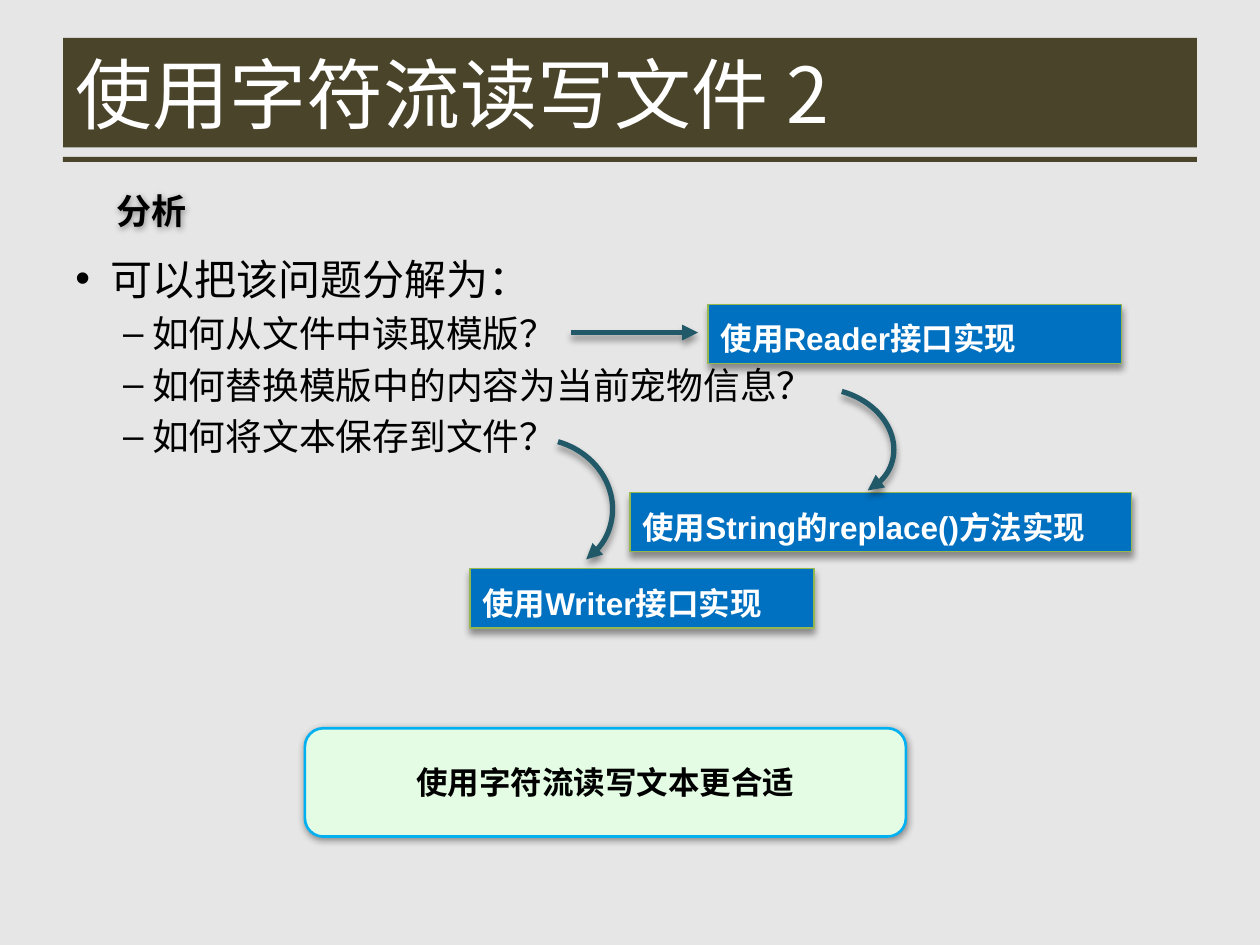
from typing import NamedTuple

from lxml.etree import SubElement
from pptx import Presentation
from pptx.dml.color import RGBColor
from pptx.enum.shapes import MSO_CONNECTOR, MSO_SHAPE
from pptx.enum.text import MSO_ANCHOR, PP_ALIGN
from pptx.oxml.ns import qn
from pptx.util import Emu, Inches, Pt

WIDTH, HEIGHT = Inches(10), Inches(7.5)
COL, ROW = WIDTH // 40, HEIGHT // 30

GREY = RGBColor(0xE7, 0xE6, 0xE6)
OLIVE = RGBColor(0x4A, 0x45, 0x2A)
BLUE = RGBColor(0x00, 0x70, 0xC0)
GREEN = RGBColor(0x95, 0xB7, 0x4F)
TEAL = RGBColor(0x21, 0x59, 0x68)
MINT = RGBColor(0xE4, 0xFC, 0xE4)
SKY = RGBColor(0x00, 0xB0, 0xF0)
WHITE = RGBColor(0xFF, 0xFF, 0xFF)
BLACK = RGBColor(0x00, 0x00, 0x00)
SANS = "Noto Sans CJK SC"


class Box(NamedTuple):
    """A place on the grid, in columns and rows."""
    x: float
    y: float
    w: float
    h: float

    def emu(self) -> list[Emu]:
        units = (COL, ROW, COL, ROW)
        return [Emu(round(n * unit)) for n, unit in zip(self, units)]


class Answer(NamedTuple):
    text: str
    box: Box


class Point(NamedTuple):
    text: str
    size: int
    mark: str
    left: float
    hang: float
    level: int
    before: float


TITLE = Box(2, 1.2, 36, 3.48)
RULE = Box(2, 4.98, 36, 0.16)
HEAD = Box(3.32, 5.8, 3.08, 1.76)
BODY = Box(2, 7.84, 36, 18.96)
NOTE = Box(9.68, 23.12, 19.08, 3.44)
ARROW = Box(18.12, 10.56, 4.04, 0)
ARCS = [Box(15, 13.72, 4.24, 4.68), Box(24.52, 11.92, 3.44, 4.32)]
ANSWERS = [
    Answer("使用Reader接口实现", Box(22.48, 9.66, 13.12, 1.88)),
    Answer("使用String的replace()方法实现", Box(20, 15.64, 15.92, 1.88)),
    Answer("使用Writer接口实现", Box(14.92, 18.06, 10.92, 1.88)),
]
ASKS = ["如何从文件中读取模版？", "如何替换模版中的内容为当前宠物信息？", "如何将文本保存到文件？"]
POINTS = [Point("可以把该问题分解为：", 24, "•", 0.28, 0.28, 0, 0)]
POINTS += [Point(ask, 21, "–", 0.61, 0.23, 1, 4.2) for ask in ASKS]


def shade(shape, dist: float) -> None:
    """Give the shape a soft shadow that falls straight down."""
    props = shape._element.spPr
    effects = props.find(qn("a:effectLst"))
    if effects is None:
        effects = SubElement(props, qn("a:effectLst"))
    outer = SubElement(effects, qn("a:outerShdw"), blurRad=str(Pt(4)),
                       dist=str(Pt(dist)), dir="5400000", rotWithShape="0")
    color = SubElement(outer, qn("a:srgbClr"), val=str(BLACK))
    SubElement(color, qn("a:alpha"), val="40000")


def style(para, size: float, color: RGBColor, bold: bool = False,
          face: str = SANS) -> None:
    for run in para.runs:
        font = run.font
        font.size, font.bold, font.name = Pt(size), bold, face
        font.color.rgb = color
        SubElement(font._element, qn("a:ea"), typeface=SANS)


def indent(para, left: float, hang: float) -> None:
    props = para._p.get_or_add_pPr()
    props.set("marL", str(Inches(left)))
    props.set("indent", str(-Inches(hang)))


def add_shape(slide, kind: MSO_SHAPE, box: Box, fill: RGBColor | None,
              edge: RGBColor | None, width: float, adjust: tuple = ()):
    shape = slide.shapes.add_shape(kind, *box.emu())
    shape.shadow.inherit = False
    for i, value in enumerate(adjust):
        shape.adjustments[i] = value
    if fill is None:
        shape.fill.background()
    else:
        shape.fill.solid()
        shape.fill.fore_color.rgb = fill
    if edge is None:
        shape.line.fill.background()
    else:
        shape.line.color.rgb = edge
        shape.line.width = Pt(width)
    return shape


def point_end(shape) -> None:
    """Put an arrowhead on the end of the line."""
    SubElement(shape.line._get_or_add_ln(), qn("a:tailEnd"), type="triangle")


def add_title(slide) -> None:
    title = slide.shapes.title
    title.left, title.top, title.width, title.height = TITLE.emu()
    title.fill.solid()
    title.fill.fore_color.rgb = OLIVE
    frame = title.text_frame
    frame.text = "使用字符流读写文件 2"
    frame.vertical_anchor = MSO_ANCHOR.MIDDLE
    frame.paragraphs[0].alignment = PP_ALIGN.LEFT
    style(frame.paragraphs[0], 44, WHITE)
    add_shape(slide, MSO_SHAPE.RECTANGLE, RULE, OLIVE, None, 0)


def add_points(slide) -> None:
    frame = slide.shapes.add_textbox(*BODY.emu()).text_frame
    frame.word_wrap = True
    for i, point in enumerate(POINTS):
        para = frame.add_paragraph() if i else frame.paragraphs[0]
        para.text = point.text
        para.level = point.level
        para.space_before = Pt(point.before)
        indent(para, point.left, point.hang)
        props = para._p.get_or_add_pPr()
        SubElement(props, qn("a:buFont"), typeface="Arial")
        SubElement(props, qn("a:buChar"), char=point.mark)
        style(para, point.size, BLACK)


def add_answer(slide, answer: Answer) -> None:
    shape = add_shape(slide, MSO_SHAPE.RECTANGULAR_CALLOUT, answer.box,
                      BLUE, GREEN, 0.75, (-0.5, 0.03))
    shade(shape, 3)
    frame = shape.text_frame
    frame.word_wrap = False
    frame.vertical_anchor = MSO_ANCHOR.BOTTOM
    para = frame.paragraphs[0]
    para.text = answer.text
    para.alignment = PP_ALIGN.LEFT
    indent(para, 0.31, 0.31)
    style(para, 18, WHITE, True, "Arial")


def add_arrow(slide) -> None:
    x, y, w, h = ARROW.emu()
    arrow = slide.shapes.add_connector(MSO_CONNECTOR.STRAIGHT, x, y, x + w, y + h)
    arrow.line.color.rgb = TEAL
    arrow.line.width = Pt(3)
    point_end(arrow)
    shade(arrow, 3)


def add_arc(slide, box: Box) -> None:
    arc = add_shape(slide, MSO_SHAPE.ARC, box, None, TEAL, 3, (109.3, 182.83))
    arc.rotation = 104.1
    point_end(arc)
    shade(arc, 3)


def add_head(slide) -> None:
    head = slide.shapes.add_textbox(*HEAD.emu())
    shade(head, 1)
    frame = head.text_frame
    frame.text = "分析"
    frame.word_wrap = False
    frame.vertical_anchor = MSO_ANCHOR.MIDDLE
    style(frame.paragraphs[0], 20, BLACK, True)


def add_note(slide) -> None:
    note = add_shape(slide, MSO_SHAPE.ROUNDED_RECTANGLE, NOTE, MINT, SKY, 1.5, (0.17,))
    shade(note, 1)
    frame = note.text_frame
    frame.text = "使用字符流读写文本更合适"
    frame.vertical_anchor = MSO_ANCHOR.MIDDLE
    frame.paragraphs[0].alignment = PP_ALIGN.CENTER
    style(frame.paragraphs[0], 18, BLACK, True)


def main() -> None:
    deck = Presentation()
    deck.slide_width, deck.slide_height = WIDTH, HEIGHT
    slide = deck.slides.add_slide(deck.slide_layouts[5])
    slide.background.fill.solid()
    slide.background.fill.fore_color.rgb = GREY
    add_title(slide)
    add_points(slide)
    for answer in ANSWERS:
        add_answer(slide, answer)
    add_arrow(slide)
    for box in ARCS:
        add_arc(slide, box)
    add_head(slide)
    add_note(slide)
    deck.save("out.pptx")


if __name__ == "__main__":
    main()
